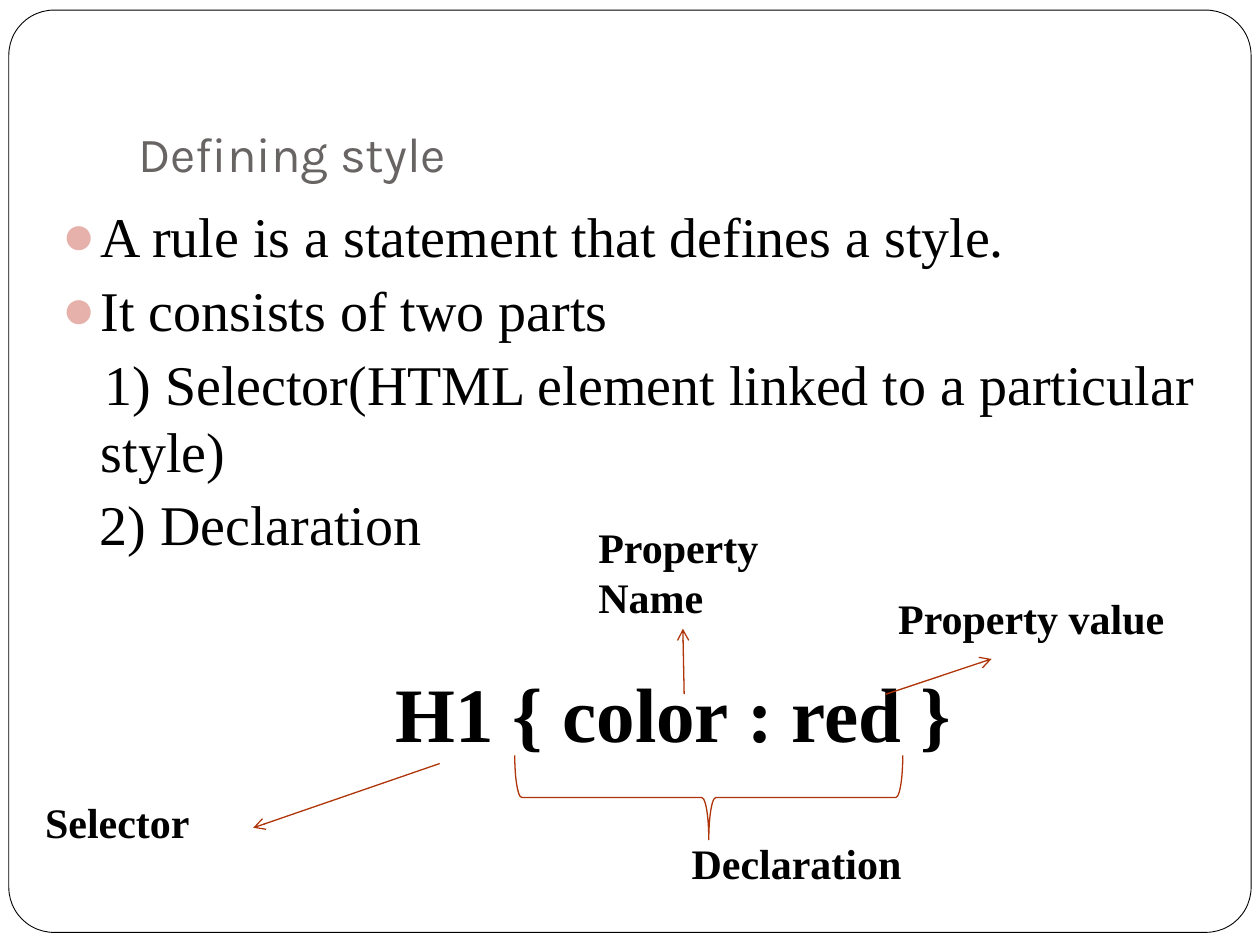
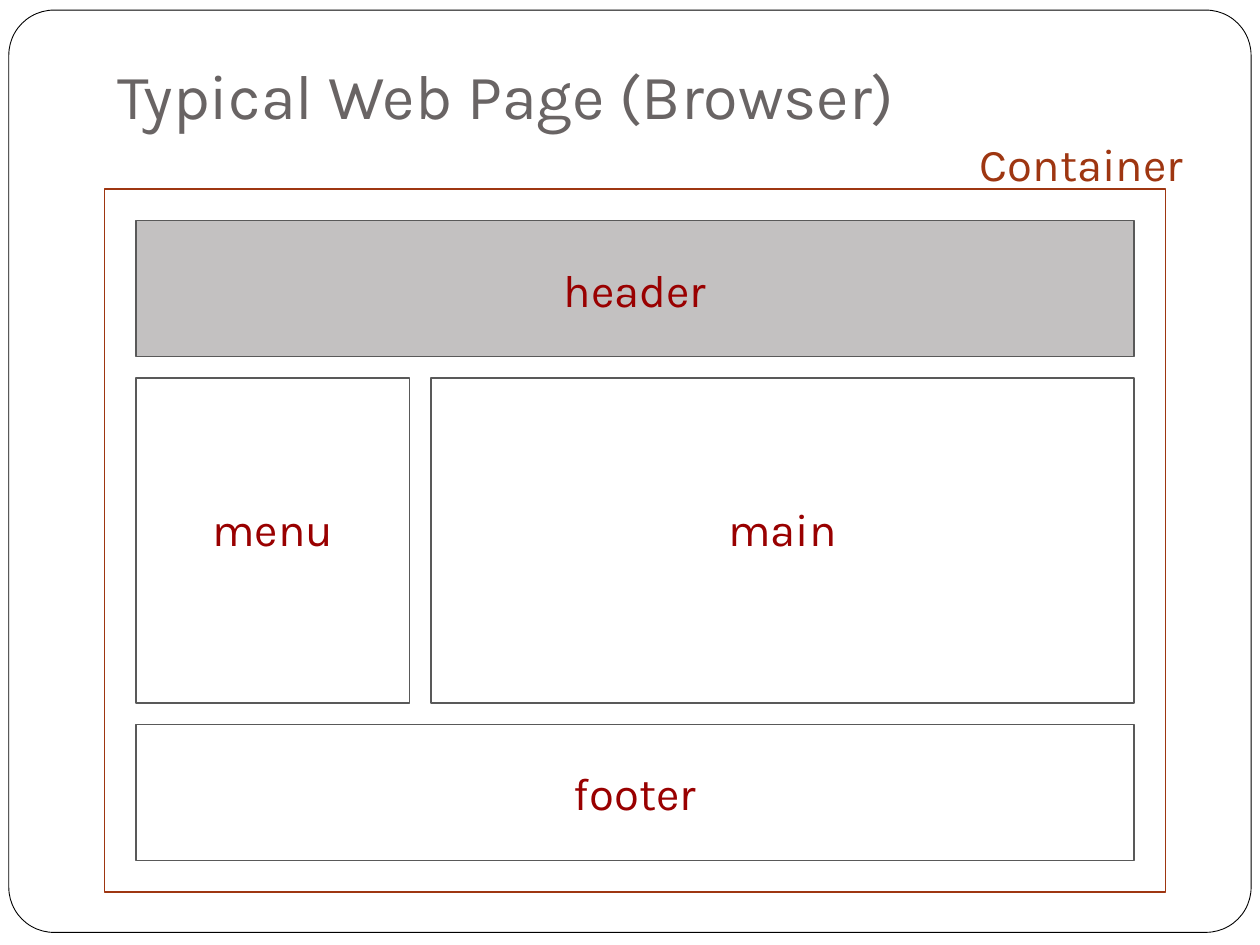
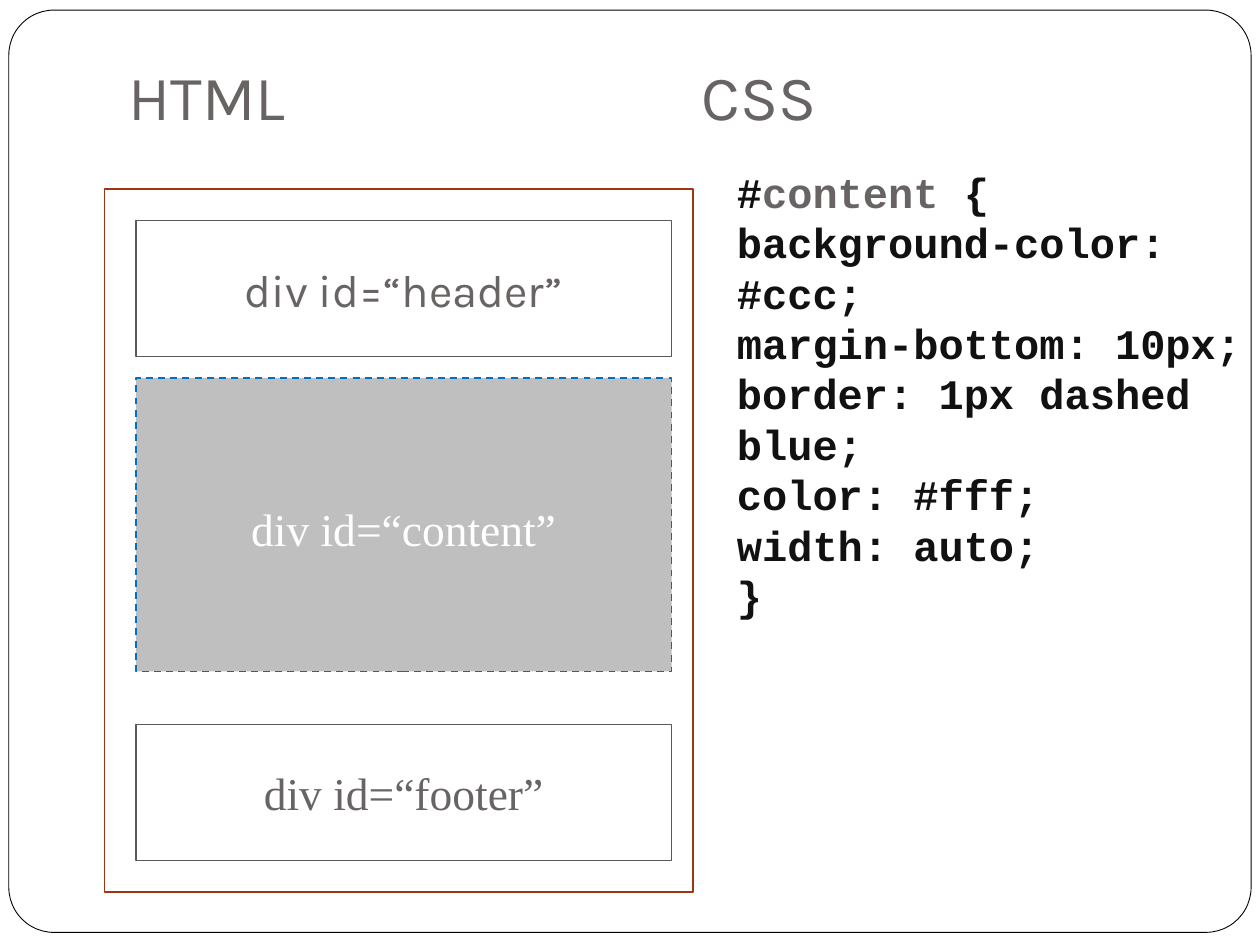
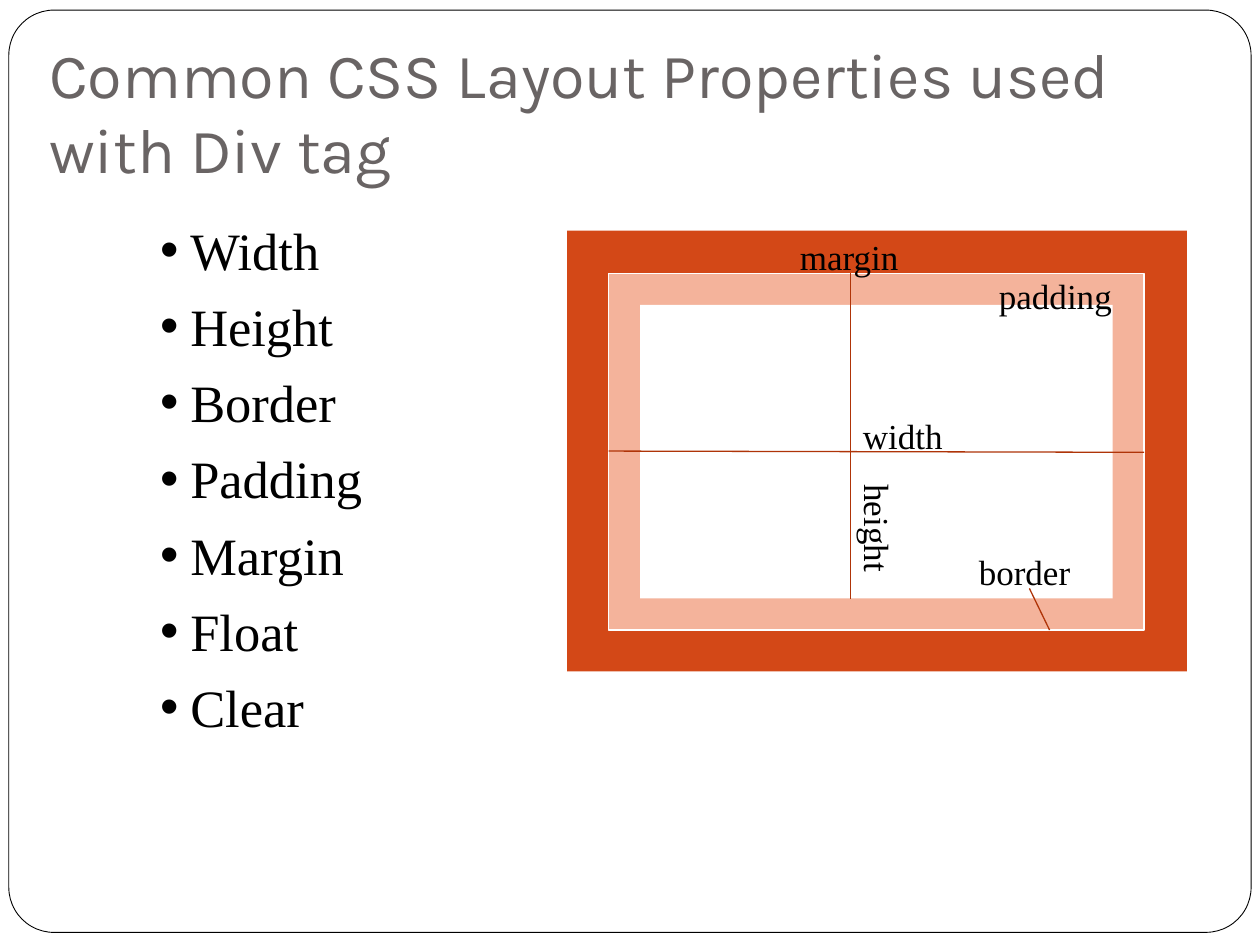
from lxml import etree
from pptx import Presentation
from pptx import util as u
from pptx.dml.color import RGBColor
from pptx.enum import dml, shapes, text
from pptx.oxml.ns import qn

# Shared style
KARLA, SERIF, MONO = "Karla", "Times New Roman", "Courier New"
BLACK, WHITE, GREY, DARK = "000000", "FFFFFF", "696464", "595959"
RUST, LINE, RED = "9E3611", "AF3408", "990000"
ROW_X, LABEL_H = 1.08, 0.73


def rgb(color):
    return RGBColor.from_string(color)


def inches(*values):
    return [u.Inches(v) for v in values]


class Deck:
    def __init__(self):
        self.prs = Presentation()
        self.prs.slide_width, self.prs.slide_height = inches(10, 7.5)
        self.slide = None

    def add_slide(self, layout, title, box, size=36):
        """Start a slide and format its title placeholder."""
        self.slide = self.prs.slides.add_slide(self.prs.slide_layouts[layout])
        sp = self.slide.shapes.title
        self.place(sp, box)
        tf = self.frame(sp, text.MSO_ANCHOR.BOTTOM)
        tf.margin_bottom = u.Inches(0.1)
        tf.text = title
        self.style(tf, size, KARLA, GREY)
        return tf

    def add_frame(self):
        """Put the rounded page frame on the master, behind everything."""
        sp = self.shape((0.07, 0.08, 9.86, 7.32), None, BLACK, 0.5,
                        shapes.MSO_SHAPE.ROUNDED_RECTANGLE)
        sp.adjustments[0] = 0.049
        self.prs.slide_master.shapes._spTree.insert(2, sp._element)

    def place(self, sp, box):
        sp.left, sp.top, sp.width, sp.height = inches(*box)

    def frame(self, sp, anchor=text.MSO_ANCHOR.TOP):
        tf = sp.text_frame
        tf.word_wrap = True
        tf.auto_size = text.MSO_AUTO_SIZE.NONE
        tf.vertical_anchor = anchor
        return tf

    def style(self, tf, size, font, color, bold=False, align=text.PP_ALIGN.LEFT):
        for p in tf.paragraphs:
            p.alignment = align
            for r in p.runs:
                f = r.font
                f.size, f.name, f.bold = u.Pt(size), font, bold
                f.color.rgb = rgb(color)

    def shape(self, box, fill, line=None, width=1, kind=shapes.MSO_SHAPE.RECTANGLE):
        sp = self.slide.shapes.add_shape(kind, *inches(*box))
        sp.shadow.inherit = False
        if fill:
            sp.fill.solid()
            sp.fill.fore_color.rgb = rgb(fill)
        else:
            sp.fill.background()
        if line:
            sp.line.color.rgb = rgb(line)
            sp.line.width = u.Pt(width)
        else:
            sp.line.fill.background()
        return sp

    def label(self, words, box, size, font=SERIF, color=BLACK, bold=False,
              center=False):
        sp = self.slide.shapes.add_textbox(*inches(*box))
        tf = self.frame(sp, text.MSO_ANCHOR.MIDDLE if center else text.MSO_ANCHOR.TOP)
        tf.text = words
        align = text.PP_ALIGN.CENTER if center else text.PP_ALIGN.LEFT
        self.style(tf, size, font, color, bold, align)
        return sp

    def block(self, words, box, label_y, color, fill=WHITE, line=DARK, font=KARLA):
        """A page region with its centred name."""
        sp = self.shape(box, fill, line)
        self.label(words, (box[0], label_y, box[2], LABEL_H), 26, font, color,
                   center=True)
        return sp

    def bullets(self, items, box, size, space):
        """Fill the body placeholder; an item is text, left, indent, bullet, colour."""
        sp = self.slide.placeholders[1]
        self.place(sp, box)
        tf = self.frame(sp)
        tf.text = "\n".join(item[0] for item in items)
        for i, (p, item) in enumerate(zip(tf.paragraphs, items)):
            left, indent, mark, color = item[1:]
            p.space_before = u.Pt(space if i else 0)
            pPr = p._p.get_or_add_pPr()
            pPr.set("marL", str(u.Inches(left)))
            pPr.set("indent", str(u.Inches(indent)))
            if mark:
                clr = etree.SubElement(pPr, qn("a:buClr"))
                etree.SubElement(clr, qn("a:srgbClr"), val=color)
                etree.SubElement(pPr, qn("a:buChar"), char=mark)
            else:
                etree.SubElement(pPr, qn("a:buNone"))
        self.style(tf, size, SERIF, BLACK)

    def line(self, start, end, arrow=False):
        cn = self.slide.shapes.add_connector(shapes.MSO_CONNECTOR.STRAIGHT,
                                             *inches(*start, *end))
        cn.line.color.rgb = rgb(LINE)
        cn.line.width = u.Pt(0.75)
        if arrow:
            etree.SubElement(cn.line._get_or_add_ln(), qn("a:tailEnd"), type="arrow")
        etree.SubElement(cn._element.spPr, qn("a:effectLst"))


def defining_style(deck):
    deck.add_slide(1, "Defining style", (1, 0.3, 8.5, 1.25), 28)
    deck.add_frame()
    dot = (0.31, -0.31, "●", "E6B1AB")
    deck.bullets([
        ("A rule is a statement that defines a style.", *dot),
        ("It consists of two parts", *dot),
        ("1) Selector(HTML element linked to a particular style)", 0.31, 0.03, None, None),
        ("2) Declaration", 0.61, -0.31, None, None),
    ], (0.39, 1.55, 9.61, 4.95), 32, 3.7)

    # Annotated rule
    for words, box in [
        ("Selector", (0.26, 6.27, 1.87, 0.5)),
        ("Declaration", (5.39, 6.6, 3.35, 0.5)),
        ("Property Name", (4.65, 4.09, 2.05, 0.9)),
        ("Property value", (7.03, 4.65, 2.95, 0.5)),
    ]:
        deck.label(words, box, 24, bold=True)
    deck.label("H1 { color : red }", (3.04, 5.23, 6.9, 0.84), 44, bold=True)
    brace = deck.shape((5.29, 4.79, 0.67, 3.08), None, LINE, 0.75,
                       shapes.MSO_SHAPE.RIGHT_BRACE)
    brace.rotation = 90
    for start, end in [((3.49, 6.06), (2.01, 6.57)),
                       ((5.43, 5.51), (5.42, 4.99)),
                       ((7.03, 5.51), (7.87, 5.23))]:
        deck.line(start, end, arrow=True)


def web_page(deck):
    deck.add_slide(5, "Typical Web Page (Browser)", (0.83, 0.42, 8.83, LABEL_H))
    deck.shape((0.83, 1.5, 8.42, 5.58), WHITE, RUST)
    deck.block("header", (ROW_X, 1.75, 7.92, 1.08), 1.93, RED, fill="C3C1C1")
    deck.block("footer", (ROW_X, 5.75, 7.92, 1.08), 5.92, RED)
    deck.block("menu", (ROW_X, 3, 2.17, 2.58), 3.83, RED)
    deck.block("main", (3.42, 3, 5.58, 2.58), 3.83, RED)
    deck.label("Container", (7.5, 0.93, 2.17, LABEL_H), 26, KARLA, RUST, center=True)


def html_and_css(deck):
    tf = deck.add_slide(5, "HTML\tCSS", (0.92, 0.43, 8.83, LABEL_H))
    tabs = etree.SubElement(tf.paragraphs[0]._p.get_or_add_pPr(), qn("a:tabLst"))
    etree.SubElement(tabs, qn("a:tab"), pos=str(u.Inches(4.55)), algn="l")

    # Page regions
    deck.shape((0.83, 1.5, 4.67, 5.58), WHITE, RUST)
    deck.block("div id=“header”", (ROW_X, 1.75, 4.25, 1.08), 1.93, GREY)
    deck.block("div id=“footer”", (ROW_X, 5.75, 4.25, 1.08), 5.92, GREY, font=SERIF)
    content = deck.block("div id=“content”", (ROW_X, 3, 4.25, 2.33), 3.83, WHITE,
                         fill="BFBFBF", line="0070C0", font=SERIF)
    content.line.dash_style = dml.MSO_LINE.DASH

    # Style rule
    rule = ["#", "background-color: #ccc;", "margin-bottom: 10px;",
            "border: 1px dashed blue;", "color: #fff;", "width: auto;", "}"]
    code = deck.label("\n".join(rule), (5.75, 1.27, 4.25, 3.82), 24, MONO, "111111",
                      bold=True)
    p = code.text_frame.paragraphs[0]
    for words, color in [("content", GREY), (" {", "111111")]:
        r = p.add_run()
        r.text = words
        r.font.size, r.font.name, r.font.bold = u.Pt(24), MONO, True
        r.font.color.rgb = rgb(color)


def layout_properties(deck):
    deck.add_slide(1, "Common CSS Layout Properties used with Div tag",
                   (0.29, 0.33, 9.58, 1.25))
    names = ["Width", "Height", "Border", "Padding", "Margin", "Float", "Clear"]
    deck.bullets([(name, 0.24, -0.24, "•", BLACK) for name in names],
                 (1.17, 1.68, 3.3, 4.13), 30, 7.5)

    # Box model
    deck.shape((4.5, 1.83, 4.92, 3.5), "D34817")
    deck.shape((4.83, 2.17, 4.25, 2.83), "F4B39B", WHITE)
    deck.shape((5.08, 2.42, 3.75, 2.33), WHITE)
    for start, end in [((6.75, 2.17), (6.75, 4.75)),
                       ((4.83, 3.58), (9.08, 3.59)),
                       ((8.17, 4.67), (8.33, 5))]:
        deck.line(start, end)
    for words, x, y, angle in [("width", 6.75, 3.24, 0), ("height", 6.38, 4.11, 90),
                               ("padding", 7.83, 2.13, 0), ("margin", 6.25, 1.82, 0),
                               ("border", 7.67, 4.32, 0)]:
        deck.label(words, (x, y, 1.17, 0.44), 20).rotation = angle


def main():
    deck = Deck()
    for build in (defining_style, web_page, html_and_css, layout_properties):
        build(deck)
    deck.prs.save("out.pptx")


if __name__ == "__main__":
    main()
